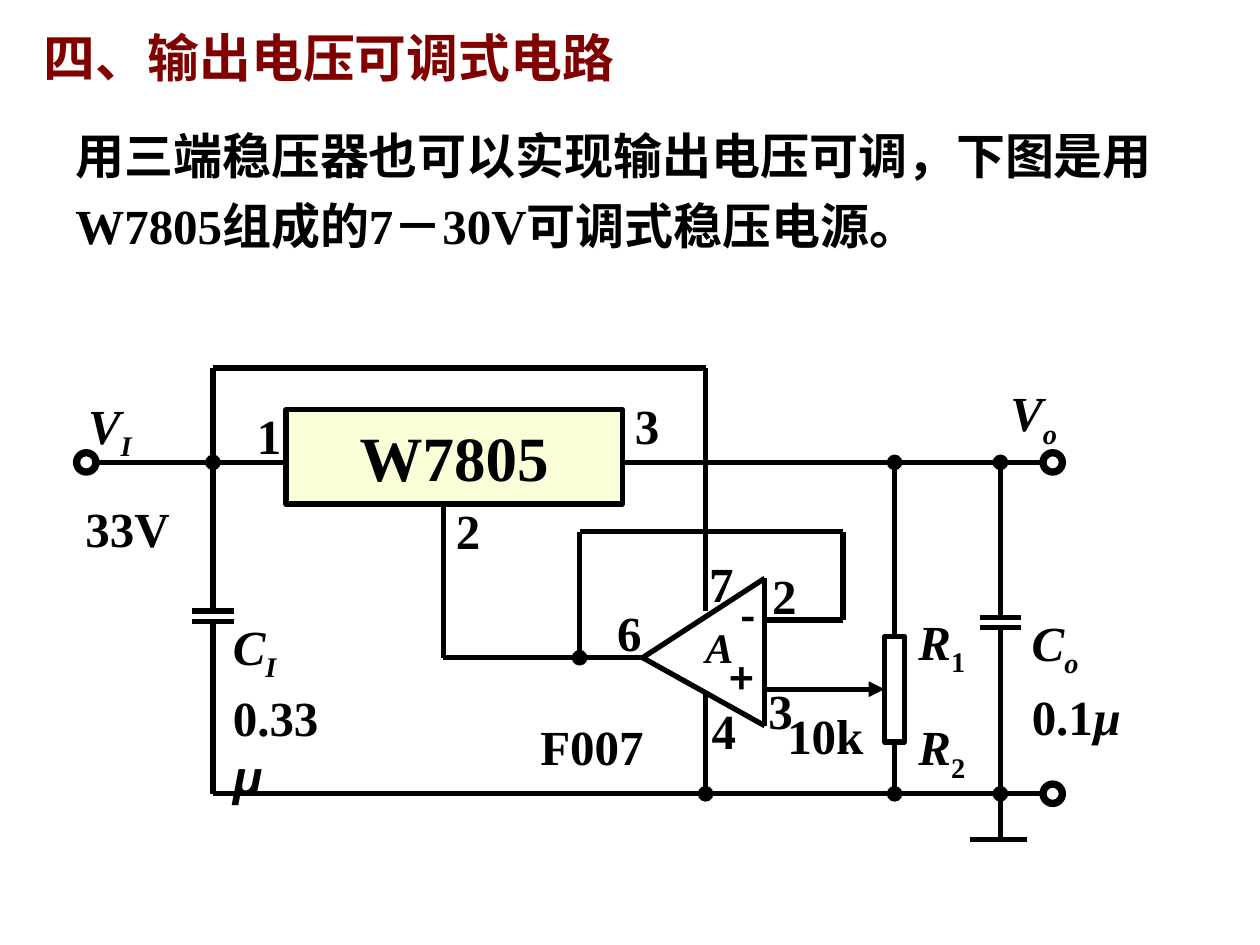
from dataclasses import dataclass

from lxml import etree
from pptx import Presentation
from pptx.dml.color import RGBColor
from pptx.enum.shapes import MSO_CONNECTOR, MSO_SHAPE
from pptx.enum.text import MSO_ANCHOR, MSO_AUTO_SIZE, PP_ALIGN
from pptx.oxml.ns import qn
from pptx.util import Inches, Pt

STRAIGHT = MSO_CONNECTOR.STRAIGHT
RECTANGLE, DONUT = MSO_SHAPE.RECTANGLE, MSO_SHAPE.DONUT
TOP, MIDDLE = MSO_ANCHOR.TOP, MSO_ANCHOR.MIDDLE
LEFT, CENTER = PP_ALIGN.LEFT, PP_ALIGN.CENTER
GROW, FIXED = MSO_AUTO_SIZE.SHAPE_TO_FIT_TEXT, MSO_AUTO_SIZE.NONE
SIDE_TOP, SIDE_LEFT, SIDE_BOTTOM = 0, 1, 2


@dataclass(frozen=True)
class Theme:
    ink: RGBColor = RGBColor(0x00, 0x00, 0x00)
    heading: RGBColor = RGBColor(0x80, 0x00, 0x00)
    chip: RGBColor = RGBColor(0xF9, 0xFF, 0xD7)
    serif: str = "Times New Roman"
    sans: str = "Arial"
    chinese: str = "Noto Sans CJK SC"
    title_size: float = 29.6
    body_size: float = 28
    chip_size: float = 36
    symbol_size: float = 24
    stroke: float = 3


THEME = Theme()

# Potentiometer and regulator: left, top, width, height in inches
CHIP = (2.27, 3.25, 2.67, 0.75)
POTENTIOMETER = (7.02, 5.05, 0.16, 0.84)

# Circuit grid, in inches: vertical wires are columns, horizontal wires are rows
COL = {"input": 0.77, "left": 1.69, "adjust": 3.52, "feedback": 4.6,
       "chip_out": 4.94, "apex": 5.1, "supply": 5.6, "amp": 6.07,
       "loop": 6.69, "divider": POTENTIOMETER[0] + POTENTIOMETER[2] / 2,
       "right": 7.94, "output": 8.27}
ROW = {"top": 2.92, "main": 3.67, "chip_bottom": 4, "loop": 4.22,
       "amp_top": 4.59, "supply_pin": 4.85, "minus": 4.92, "amp_out": 5.22,
       "wiper": POTENTIOMETER[1] + POTENTIOMETER[3] / 2, "amp_low_pin": 5.5,
       "amp_bottom": 5.76, "ground": 6.3, "earth": 6.66}
TERMINAL = 0.17
PLATE_HALF, PLATE_GAP = 0.165, 0.08
LABEL_HEIGHT = 0.57


def write(frame, spans, font=THEME.serif, size=THEME.body_size, color=THEME.ink,
          align=LEFT, anchor=TOP, wrap=True, spacing=None, auto_size=GROW):
    """Fill a text frame; a span is (text, options font, italic, subscript)."""
    frame.word_wrap = wrap
    frame.auto_size = auto_size
    frame.vertical_anchor = anchor
    para = frame.paragraphs[0]
    para.alignment = align
    if spacing:
        para.line_spacing = spacing
    for text, options in spans:
        span = para.add_run()
        span.text = text
        span.font.name = options.get("font", font)
        span.font.size = Pt(size)
        span.font.bold = True
        span.font.italic = options.get("italic", False)
        span.font.color.rgb = color
        properties = span.font._element
        etree.SubElement(properties, qn("a:ea")).set("typeface", THEME.chinese)
        if options.get("subscript"):
            properties.set("baseline", "-25000")


def text_box(page, bounds, spans, **style):
    box = page.shapes.add_textbox(*map(Inches, bounds))
    write(box.text_frame, spans, **style)


def outlined(page, kind, bounds, fill=None):
    shape = page.shapes.add_shape(kind, *map(Inches, bounds))
    shape.shadow.inherit = False
    if fill is None:
        shape.fill.background()
    else:
        shape.fill.solid()
        shape.fill.fore_color.rgb = fill
    shape.line.color.rgb = THEME.ink
    shape.line.width = Pt(THEME.stroke)
    return shape


def wire(page, start, end, head=None, tail=None):
    line = page.shapes.add_connector(STRAIGHT, *map(Inches, (*start, *end)))
    line.line.color.rgb = THEME.ink
    line.line.width = Pt(THEME.stroke)
    for tag, mark in (("a:headEnd", head), ("a:tailEnd", tail)):
        if mark:
            etree.SubElement(line.line._ln, qn(tag)).set("type", mark)
    etree.SubElement(line._element.spPr, qn("a:effectLst"))
    return line


def node(column, row):
    return COL[column], ROW[row]


def route(page, *stops):
    """Join the named grid nodes one after another."""
    for start, end in zip(stops, stops[1:]):
        wire(page, node(*start), node(*end))


def terminal(page, left, row):
    ring = outlined(page, DONUT, (left, ROW[row] - TERMINAL / 2, TERMINAL, TERMINAL))
    ring.adjustments[0] = 0.09


def capacitor(page, column, plate, ground_mark=None):
    x = COL[column]
    wire(page, node(column, "main"), (x, plate), head="oval")
    for y in (plate, plate + PLATE_GAP):
        wire(page, (x - PLATE_HALF, y), (x + PLATE_HALF, y))
    wire(page, (x, plate + PLATE_GAP), node(column, "ground"), tail=ground_mark)


def symbol(page, left, top, width, letter, index, upright=False):
    """A quantity in italics with its subscript."""
    spans = [(letter, {"italic": True}),
             (index, {"italic": not upright, "subscript": True})]
    text_box(page, (left, top, width, 0.63), spans)


def draw_heading(page):
    text_box(page, (0.25, 0.21, 5.25, 0.62), [("四、输出电压可调式电路", {})],
             font=THEME.sans, size=THEME.title_size, color=THEME.heading,
             spacing=0.9, auto_size=FIXED)
    sans = {"font": THEME.sans}
    text_box(page, (0.5, 0.85, 8.85, 1.22),
             [("用三端稳压器也可以实现输出电压可调，下图是用", sans), ("W7805", {}),
              ("组成的", sans), ("7", {}), ("－", sans), ("30V", {}),
              ("可调式稳压电源。", sans)],
             anchor=MIDDLE, spacing=1.2)


def draw_circuit(page):
    # Regulator and terminals
    chip = outlined(page, RECTANGLE, CHIP, THEME.chip)
    write(chip.text_frame, [("W7805", {})], size=THEME.chip_size, align=CENTER,
          anchor=MIDDLE, wrap=False, auto_size=FIXED)
    terminal(page, COL["input"] - TERMINAL, "main")
    for row in ("main", "ground"):
        terminal(page, COL["output"], row)

    # Rails, supply and feedback loop
    wire(page, node("input", "main"), (CHIP[0], ROW["main"]))
    route(page, ("chip_out", "main"), ("output", "main"))
    route(page, ("left", "ground"), ("output", "ground"))
    route(page, ("left", "main"), ("left", "top"), ("supply", "top"),
          ("supply", "supply_pin"))
    route(page, ("adjust", "chip_bottom"), ("adjust", "amp_out"), ("apex", "amp_out"))
    route(page, ("amp", "minus"), ("loop", "minus"), ("loop", "loop"),
          ("feedback", "loop"))
    wire(page, node("feedback", "loop"), node("feedback", "amp_out"), tail="oval")
    wire(page, node("supply", "amp_low_pin"), node("supply", "ground"), tail="oval")

    # Operational amplifier
    route(page, ("apex", "amp_out"), ("amp", "amp_top"), ("amp", "amp_bottom"),
          ("apex", "amp_out"))

    # Capacitors and earth
    capacitor(page, "left", 4.85)
    capacitor(page, "right", 4.9, ground_mark="oval")
    route(page, ("right", "ground"), ("right", "earth"))
    wire(page, (7.7, ROW["earth"]), (8.15, ROW["earth"]))

    # Potentiometer
    divider = outlined(page, RECTANGLE, POTENTIOMETER)
    bottom = POTENTIOMETER[1] + POTENTIOMETER[3]
    upper = wire(page, node("divider", "main"), (COL["divider"], POTENTIOMETER[1]),
                 head="oval")
    upper.end_connect(divider, SIDE_TOP)
    lower = wire(page, (COL["divider"], bottom), node("divider", "ground"), tail="oval")
    lower.begin_connect(divider, SIDE_BOTTOM)
    wiper = wire(page, node("amp", "wiper"), (POTENTIOMETER[0], ROW["wiper"]),
                 tail="triangle")
    wiper.end_connect(divider, SIDE_LEFT)


def draw_labels(page):
    # Pin numbers
    for pin, left, top in (("1", 1.94, 3.17), ("3", 4.94, 3.09), ("2", 3.52, 3.92),
                           ("7", 5.53, 4.34), ("6", 4.8, 4.73), ("2", 6.03, 4.44),
                           ("3", 6, 5.35), ("4", 5.55, 5.51)):
        text_box(page, (left, top, 0.39, LABEL_HEIGHT), [(pin, {})], wrap=False)

    # Quantities
    symbol(page, 0.6, 3.09, 0.78, "V", "I")
    symbol(page, 7.92, 2.99, 1.05, "V", "o")
    symbol(page, 1.75, 4.84, 1.4, "C", "I")
    symbol(page, 8.09, 4.81, 1.23, "C", "o")
    symbol(page, 7.19, 4.8, 0.82, "R", "1", upright=True)
    symbol(page, 7.19, 5.64, 1.01, "R", "2", upright=True)

    # Values
    for text, left, top, width in (("F007", 4.19, 5.64, 1.02), ("33V", 0.58, 3.91, 0.87),
                                   ("10k", 6.15, 5.55, 0.86)):
        text_box(page, (left, top, width, LABEL_HEIGHT), [(text, {})], wrap=False)
    text_box(page, (1.75, 5.41, 1.1, LABEL_HEIGHT),
             [("0.33", {}), ("μ", {"font": THEME.sans, "italic": True})])
    text_box(page, (8.09, 5.4, 0.91, LABEL_HEIGHT),
             [("0.1", {}), ("µ", {"italic": True})], wrap=False)

    # Amplifier marks
    for text, bounds, font in (("A", (5.5, 4.88, 0.48, 0.5), THEME.serif),
                               ("+", (5.69, 5.13, 0.51, 0.5), THEME.chinese),
                               ("-", (5.78, 4.63, 0.31, 0.5), THEME.chinese)):
        text_box(page, bounds, [(text, {"italic": text == "A"})], font=font,
                 size=THEME.symbol_size, anchor=MIDDLE, wrap=text != "-")


def main():
    deck = Presentation()
    deck.slide_width, deck.slide_height = Inches(10), Inches(7.5)
    page = deck.slides.add_slide(deck.slide_layouts[6])
    draw_heading(page)
    draw_circuit(page)
    draw_labels(page)
    deck.save("out.pptx")


if __name__ == "__main__":
    main()
